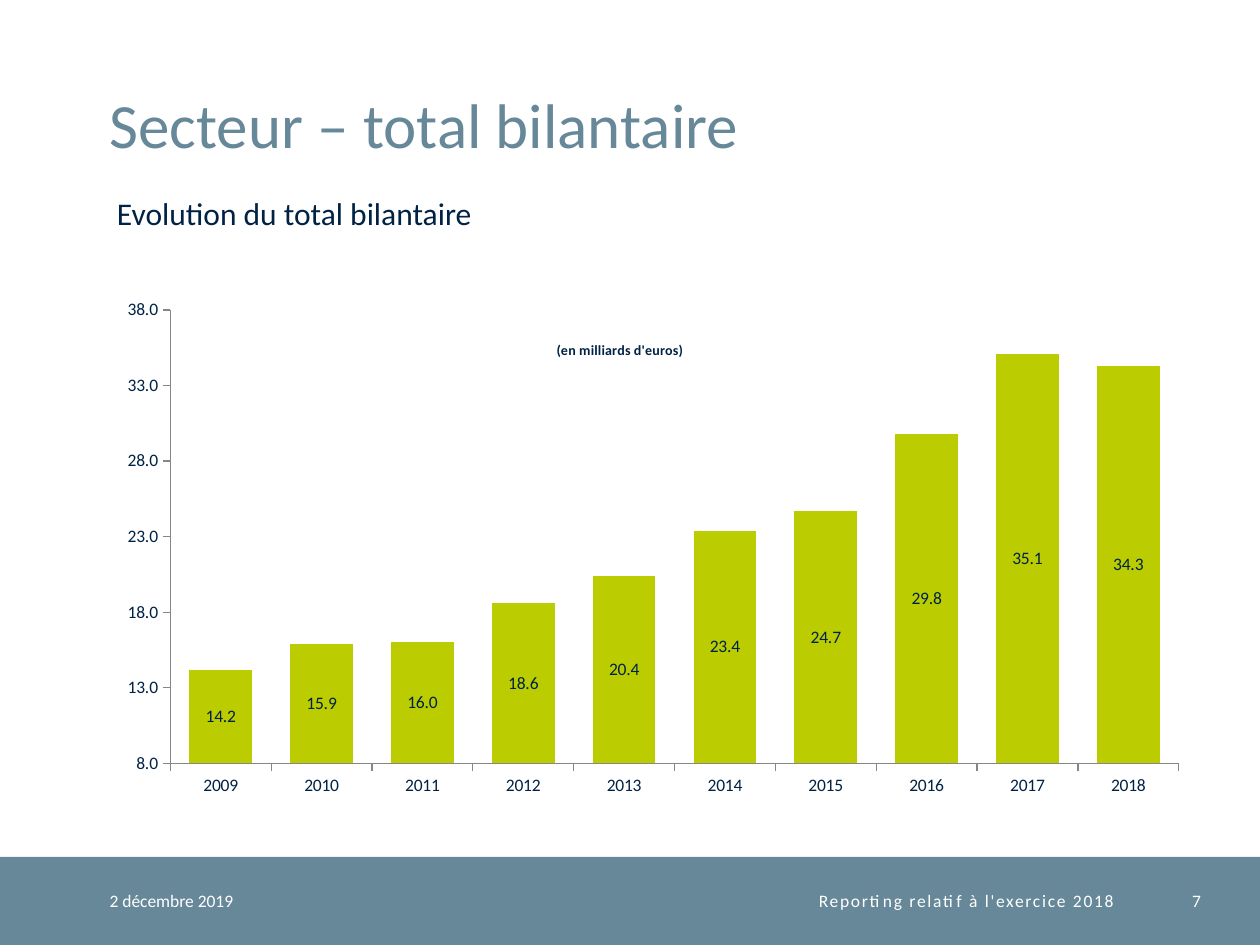
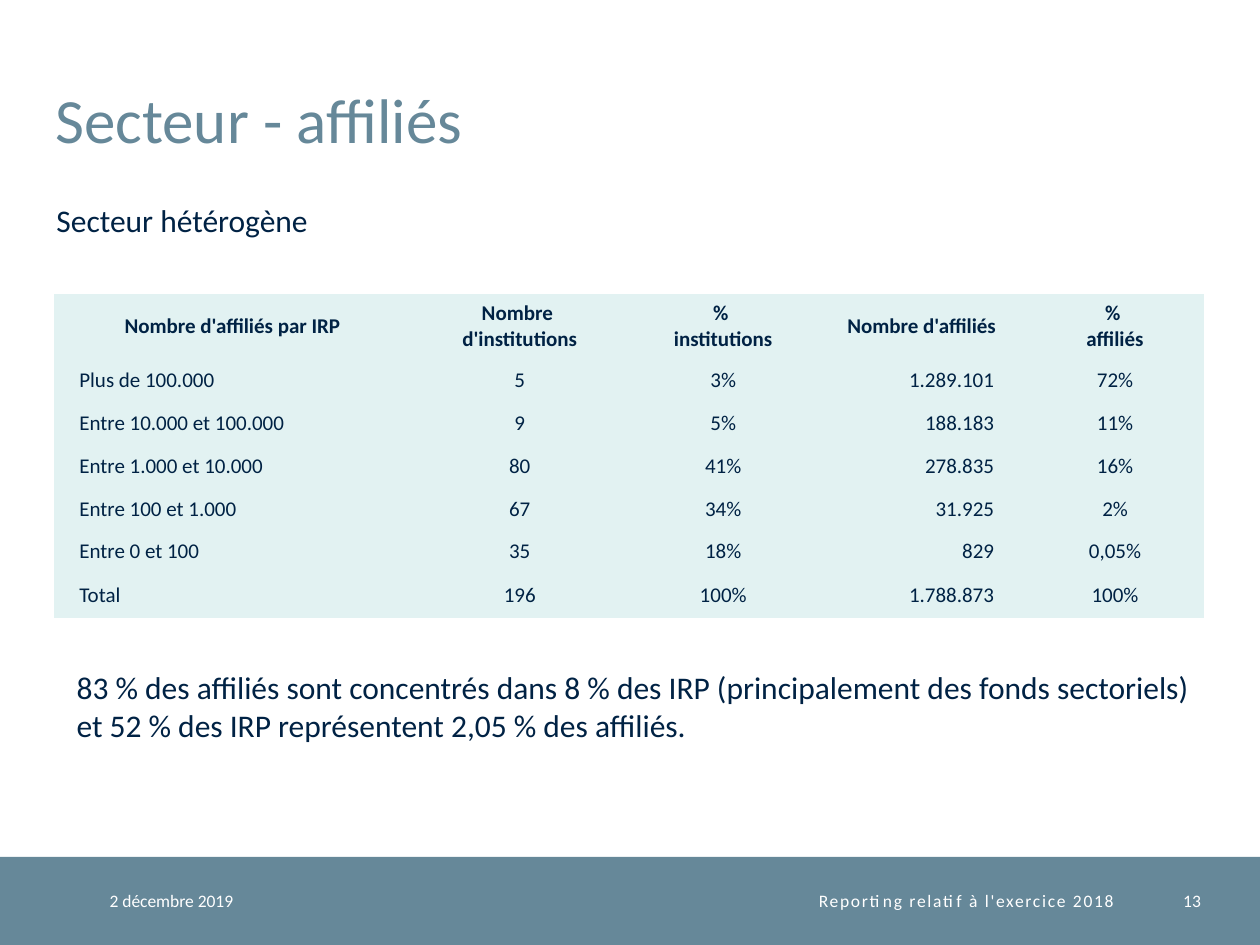
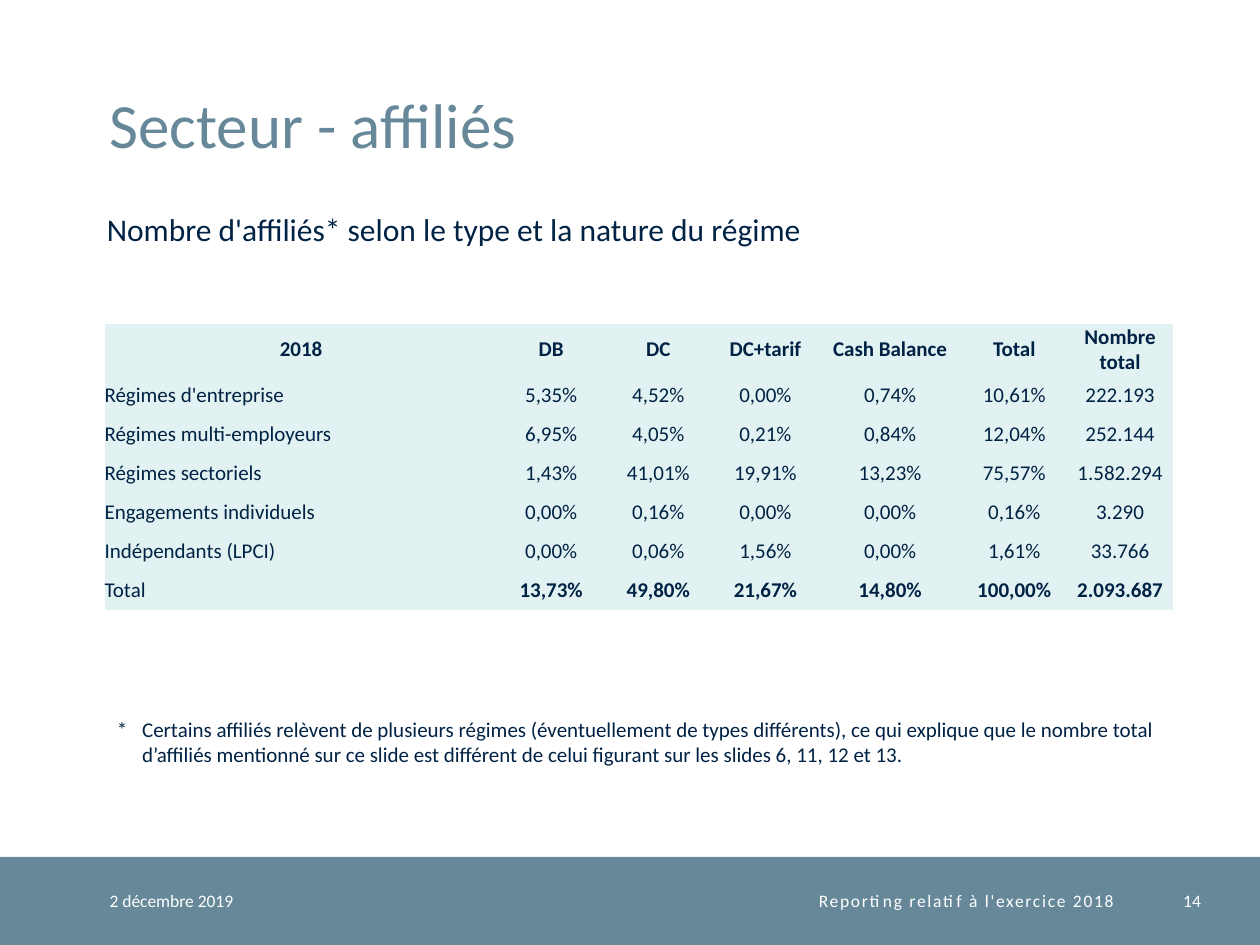
from dataclasses import dataclass

from lxml import etree
from pptx import Presentation
from pptx.chart.data import CategoryChartData as ChartData
from pptx.dml.color import RGBColor as RGB
from pptx.enum.chart import XL_CHART_TYPE as Kind, XL_LABEL_POSITION as Pos, XL_TICK_MARK as Tick
from pptx.enum.shapes import MSO_SHAPE as Shape
from pptx.enum.text import MSO_ANCHOR as Anchor, MSO_AUTO_SIZE as Fit, PP_ALIGN as Align
from pptx.oxml.ns import qn
from pptx.util import Inches, Pt


@dataclass(frozen=True)
class Theme:
    font: str = "Calibri"
    slate: RGB = RGB(0x66, 0x88, 0x99)
    navy: RGB = RGB(0x00, 0x22, 0x44)
    lime: RGB = RGB(0xBB, 0xCC, 0x00)
    pale: RGB = RGB(0xE2, 0xF2, 0xF2)
    grey: RGB = RGB(0x86, 0x86, 0x86)
    white: RGB = RGB(0xFF, 0xFF, 0xFF)
    title: int = 36
    head: int = 18
    body: int = 12
    small: int = 10
    tiny: int = 8


theme = Theme()
NO_GRID = "{2D5ABB26-0587-4C30-8999-92F81FD0307C}"


def write(frame, text, size, color, align=Align.LEFT, bold=False):
    frame.text = text
    for para in frame.paragraphs:
        para.alignment = align
        for run in para.runs:
            font = run.font
            font.name, font.size, font.bold = theme.font, Pt(size), bold
            font.color.rgb = color


def add_text(slide, area, text, size, color, align=Align.LEFT, flush=False):
    """Add a text box; a flush one has no insets and is centred vertically."""
    frame = slide.shapes.add_textbox(*map(Inches, area)).text_frame
    frame.word_wrap = True
    if flush:
        frame.margin_left = frame.margin_right = 0
        frame.margin_top = frame.margin_bottom = 0
        frame.vertical_anchor = Anchor.MIDDLE
    else:
        frame.auto_size = Fit.SHAPE_TO_FIT_TEXT
    write(frame, text, size, color, align)
    return frame


prs = Presentation()
prs.slide_width, prs.slide_height = Inches(10), Inches(7.5)

# Titles, subtitles, band and footer
pages = [
    ("Secteur – total bilantaire", (0.87, 0.2), "7",
     "Evolution du total bilantaire", (0.83, 1.49, 4.25, 0.4)),
    ("Secteur - affiliés", (0.44, 0.16), "13",
     "Secteur hétérogène", (0.35, 1.55, 3.23, 0.4)),
    ("Secteur - affiliés", (0.87, 0.2), "14",
     "Nombre d'affiliés* selon le type et la nature du régime", (0.75, 1.62, 8.43, 0.4)),
]
slides = []
for name, (left, top), number, sub, area in pages:
    slide = prs.slides.add_slide(prs.slide_layouts[5])
    slides.append(slide)

    band = slide.shapes.add_shape(Shape.RECTANGLE, 0, Inches(6.8), Inches(10), Inches(0.7))
    band.shadow.inherit = False
    band.fill.solid()
    band.fill.fore_color.rgb = theme.slate
    band.line.fill.background()

    title = slide.shapes.title
    title.left, title.top = Inches(left), Inches(top)
    title.width, title.height = Inches(8.63), Inches(1.08)
    frame = title.text_frame
    frame.margin_left = frame.margin_right = frame.margin_top = frame.margin_bottom = 0
    frame.vertical_anchor, frame.auto_size = Anchor.BOTTOM, Fit.NONE
    write(frame, name, theme.title, theme.slate)
    frame.paragraphs[0].line_spacing = Pt(32)

    add_text(slide, (0.87, 6.8, 1.77, 0.7), "2 décembre 2019",
             theme.small, theme.white, flush=True)
    foot = add_text(slide, (2.64, 6.8, 6.2, 0.7), "Reporting relatif à l'exercice 2018",
                    theme.small, theme.white, Align.RIGHT, flush=True)
    foot.paragraphs[0].runs[0]._r.get_or_add_rPr().set("spc", "100")
    add_text(slide, (9.04, 6.8, 0.49, 0.7), number,
             theme.small, theme.white, Align.RIGHT, flush=True)
    add_text(slide, area, sub, theme.head, theme.navy)

# Balance sheet chart
data = ChartData(number_format="0.0")
data.categories = [str(year) for year in range(2009, 2019)]
data.add_series("Series 1", [14.2, 15.9, 16.0, 18.6, 20.4, 23.4, 24.7, 29.8, 35.1, 34.3])
chart = slides[0].shapes.add_chart(
    Kind.COLUMN_STACKED, Inches(0.83), Inches(1.92), Inches(8.7), Inches(4.5), data).chart
chart.has_legend = False
chart.font.name, chart.font.size = theme.font, Pt(theme.small)
chart.font.color.rgb = theme.navy
write(chart.chart_title.text_frame, "(en milliards d'euros)", theme.tiny, theme.navy,
      Align.CENTER, True)
chart.chart_title.include_in_layout = False

plot = chart.plots[0]
plot.gap_width, plot.overlap, plot.vary_by_categories = 61, 100, False
plot.series[0].format.fill.solid()
plot.series[0].format.fill.fore_color.rgb = theme.lime
plot.has_data_labels = True
labels = plot.data_labels
labels.show_value, labels.position = True, Pos.CENTER
labels.number_format, labels.number_format_is_linked = "0.0", False

scale = chart.value_axis
scale.minimum_scale, scale.maximum_scale, scale.major_unit = 8, 38, 5
scale.has_major_gridlines = False
scale.tick_labels.number_format = "#,##0.0"
scale.tick_labels.number_format_is_linked = False
for axis in (scale, chart.category_axis):
    axis.major_tick_mark, axis.minor_tick_mark = Tick.OUTSIDE, Tick.NONE
    axis.format.line.color.rgb = theme.grey
    axis.format.line.width = Pt(0.75)

places = [
    (chart.chart_title._element, {"x": 0.41, "y": 0.17}),
    (chart._chartSpace.chart.plotArea, {"x": 0.06, "y": 0.12, "w": 0.92, "h": 0.8}),
]
for part, spot in places:
    for old in part.findall(qn("c:layout")):
        part.remove(old)
    layout = etree.Element(qn("c:layout"))
    manual = etree.SubElement(layout, qn("c:manualLayout"))
    if "w" in spot:
        etree.SubElement(manual, qn("c:layoutTarget")).set("val", "inner")
    for key in ("x", "y"):
        etree.SubElement(manual, qn(f"c:{key}Mode")).set("val", "edge")
    for key, value in spot.items():
        etree.SubElement(manual, qn(f"c:{key}")).set("val", str(value))
    text = part.find(qn("c:tx"))
    part.insert(0 if text is None else 1, layout)

# Member tables
sizes = [
    ["Nombre d'affiliés par IRP", "Nombre \nd'institutions", "% \ninstitutions",
     "Nombre d'affiliés", "% \naffiliés"],
    ["Plus de 100.000", "5", "3%", "1.289.101", "72%"],
    ["Entre 10.000 et 100.000", "9", "5%", "188.183", "11%"],
    ["Entre 1.000 et 10.000", "80", "41%", "278.835", "16%"],
    ["Entre 100 et 1.000", "67", "34%", "31.925", "2%"],
    ["Entre 0 et 100", "35", "18%", "829", "0,05%"],
    ["Total", "196", "100%", "1.788.873", "100%"],
]
plans = [
    ["2018", "DB", "DC", "DC+tarif", "Cash Balance", "Total", "Nombre total"],
    ["Régimes d'entreprise", "5,35%", "4,52%", "0,00%", "0,74%", "10,61%", "222.193"],
    ["Régimes multi-employeurs", "6,95%", "4,05%", "0,21%", "0,84%", "12,04%", "252.144"],
    ["Régimes sectoriels", "1,43%", "41,01%", "19,91%", "13,23%", "75,57%", "1.582.294"],
    ["Engagements individuels", "0,00%", "0,16%", "0,00%", "0,00%", "0,16%", "3.290"],
    ["Indépendants (LPCI)", "0,00%", "0,06%", "1,56%", "0,00%", "1,61%", "33.766"],
    ["Total", "13,73%", "49,80%", "21,67%", "14,80%", "100,00%", "2.093.687"],
]
# slide, rows, left, top, widths, heights, indent, right-hand column, bold rows
tables = [
    (slides[1], sizes, 0.43, 2.33, [2.83, 1.73, 1.5, 1.65, 1.42],
     [0.52] + [0.34] * 5 + [0.36], 0.2, 3, ()),
    (slides[2], plans, 0.83, 2.57, [3.12, 0.85, 0.85, 0.85, 1.13, 0.84, 0.84],
     [0.41] + [0.31] * 6, 0, None, (6,)),
]
for slide, rows, left, top, widths, heights, indent, right, strong in tables:
    table = slide.shapes.add_table(
        len(rows), len(widths), Inches(left), Inches(top),
        Inches(sum(widths)), Inches(sum(heights))).table
    table.first_row = table.horz_banding = False
    table._tbl.tblPr.find(qn("a:tableStyleId")).text = NO_GRID
    for col, width in zip(table.columns, widths):
        col.width = Inches(width)
    for r, row in enumerate(rows):
        table.rows[r].height = Inches(heights[r])
        for c, text in enumerate(row):
            cell = table.cell(r, c)
            cell.fill.solid()
            cell.fill.fore_color.rgb = theme.pale
            cell.vertical_anchor = Anchor.MIDDLE
            cell.margin_left = cell.margin_right = cell.margin_top = cell.margin_bottom = 0
            align = Align.CENTER
            if r and c == 0:
                align, cell.margin_left = Align.LEFT, Inches(indent)
            elif r and c == right:
                align, cell.margin_right = Align.RIGHT, Inches(0.25)
            bold = r == 0 or (r in strong and c > 0)
            write(cell.text_frame, text, theme.body, theme.navy, align, bold)

# Closing remarks
add_text(slides[1], (0.51, 5.25, 9.06, 0.71),
         "83 % des affiliés sont concentrés dans 8 % des IRP (principalement des fonds "
         "sectoriels) et 52 % des IRP représentent 2,05 % des affiliés.",
         theme.head, theme.navy)
note = add_text(slides[2], (0.83, 5.64, 8.74, 0.5),
                "* \tCertains affiliés relèvent de plusieurs régimes (éventuellement de types "
                "différents), ce qui explique que le nombre total d’affiliés mentionné sur ce "
                "slide est différent de celui figurant sur les slides 6, 11, 12 et 13.",
                theme.body, theme.navy)
props = note.paragraphs[0]._p.get_or_add_pPr()
props.set("marL", str(Inches(0.2)))
props.set("indent", str(-Inches(0.2)))

prs.save("out.pptx")
